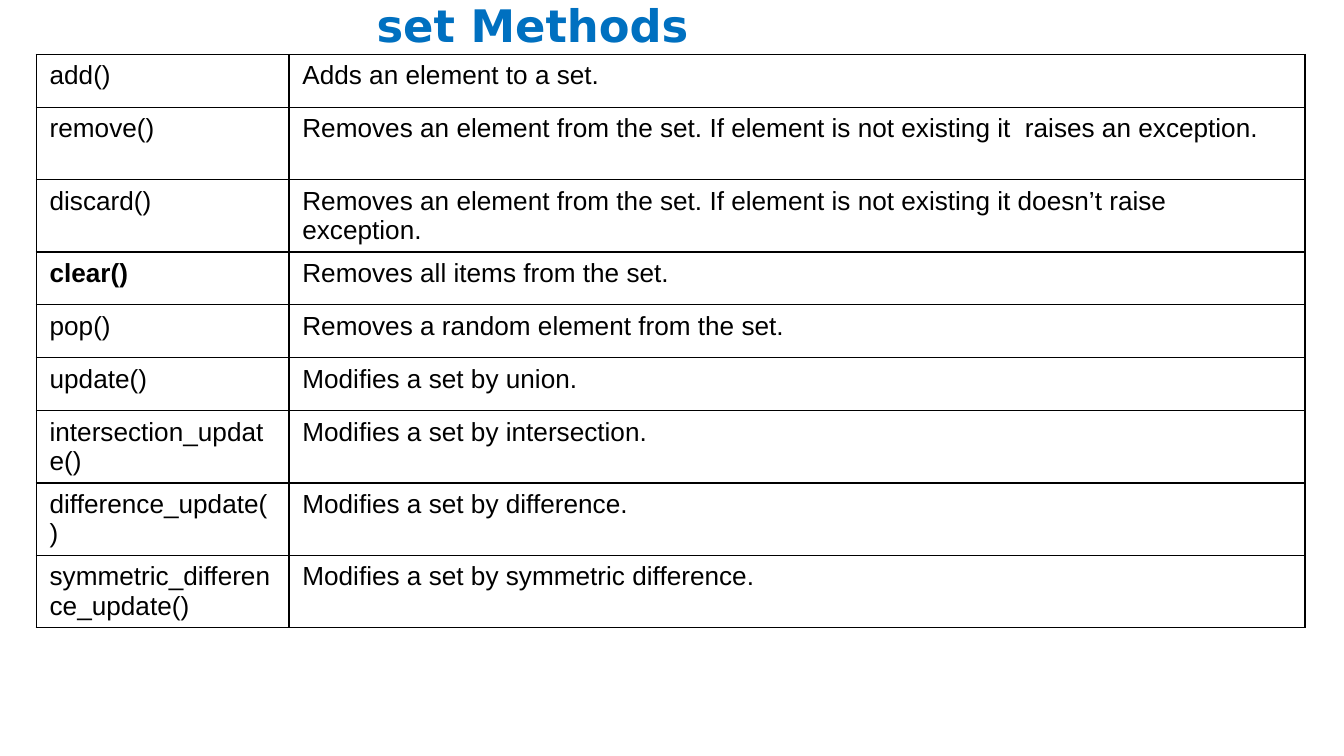
"""Build a slide with a table of the set methods and what they do."""
from dataclasses import dataclass

from lxml.etree import SubElement
from pptx import Presentation
from pptx.dml.color import RGBColor
from pptx.enum.text import MSO_ANCHOR, MSO_AUTO_SIZE, PP_ALIGN
from pptx.oxml.ns import qn
from pptx.util import Pt


@dataclass(frozen=True)
class Theme:
    title_color: str = "0070C0"
    text_color: str = "000000"
    border_color: str = "000000"
    title_font: str = "DejaVu Sans"
    text_font: str = "Arial"
    title_size: int = 24
    text_size: int = 14
    border_width: float = 0.75


theme = Theme()


def format_text(frame, font, size, color, bold):
    for para in frame.paragraphs:
        for span in para.runs:
            span.font.name = font
            span.font.size = Pt(size)
            span.font.bold = bold
            span.font.color.rgb = RGBColor.from_string(color)


def add_borders(cell):
    properties = cell._tc.get_or_add_tcPr()
    for position, side in enumerate(("lnL", "lnR", "lnT", "lnB")):
        line = SubElement(properties, qn(f"a:{side}"), w=str(Pt(theme.border_width)))
        fill = SubElement(line, qn("a:solidFill"))
        SubElement(fill, qn("a:srgbClr"), val=theme.border_color)
        properties.insert(position, line)


SHORT_ROW, TALL_ROW = 28.4, 38.7
COLUMN_WIDTHS = (135.4, 544.3)
methods = [
    ("add()", "Adds an element to a set.", SHORT_ROW),
    ("remove()", "Removes an element from the set. If element is not existing it  raises an exception.", TALL_ROW),
    ("discard()", "Removes an element from the set. If element is not existing it doesn’t raise exception.", TALL_ROW),
    ("clear()", "Removes all items from the set.", SHORT_ROW),
    ("pop()", "Removes a random element from the set.", SHORT_ROW),
    ("update()", "Modifies a set by union.", SHORT_ROW),
    ("intersection_update()", "Modifies a set by intersection.", TALL_ROW),
    ("difference_update()", "Modifies a set by difference.", TALL_ROW),
    ("symmetric_difference_update()", "Modifies a set by symmetric difference.", TALL_ROW),
]

deck = Presentation()
deck.slide_width, deck.slide_height = Pt(720), Pt(405)
page = deck.slides.add_slide(deck.slide_layouts[5])

table_frame = page.shapes.add_table(
    len(methods), len(COLUMN_WIDTHS), Pt(19.4), Pt(29.2),
    Pt(sum(COLUMN_WIDTHS)), Pt(sum(height for _, _, height in methods)),
)
table = table_frame.table
table.first_row = False
table.horz_banding = False
for column, width in zip(table.columns, COLUMN_WIDTHS):
    column.width = Pt(width)

for row, (method, description, height) in zip(table.rows, methods):
    row.height = Pt(height)
    for cell, text in zip(row.cells, (method, description)):
        cell.text_frame.text = text
        cell.fill.background()
        add_borders(cell)
        format_text(cell.text_frame, theme.text_font, theme.text_size,
                    theme.text_color, text == "clear()")

title = page.shapes.title
title.left, title.top, title.width, title.height = Pt(19.4), Pt(-7.9), Pt(523.4), Pt(13.7)
frame = title.text_frame
frame.text = " set Methods"
frame.word_wrap = True
frame.auto_size = MSO_AUTO_SIZE.NONE
frame.vertical_anchor = MSO_ANCHOR.TOP
frame.margin_left = frame.margin_right = frame.margin_top = frame.margin_bottom = Pt(7.2)
frame.paragraphs[0].alignment = PP_ALIGN.CENTER
format_text(frame, theme.title_font, theme.title_size, theme.title_color, True)

deck.save("out.pptx")
